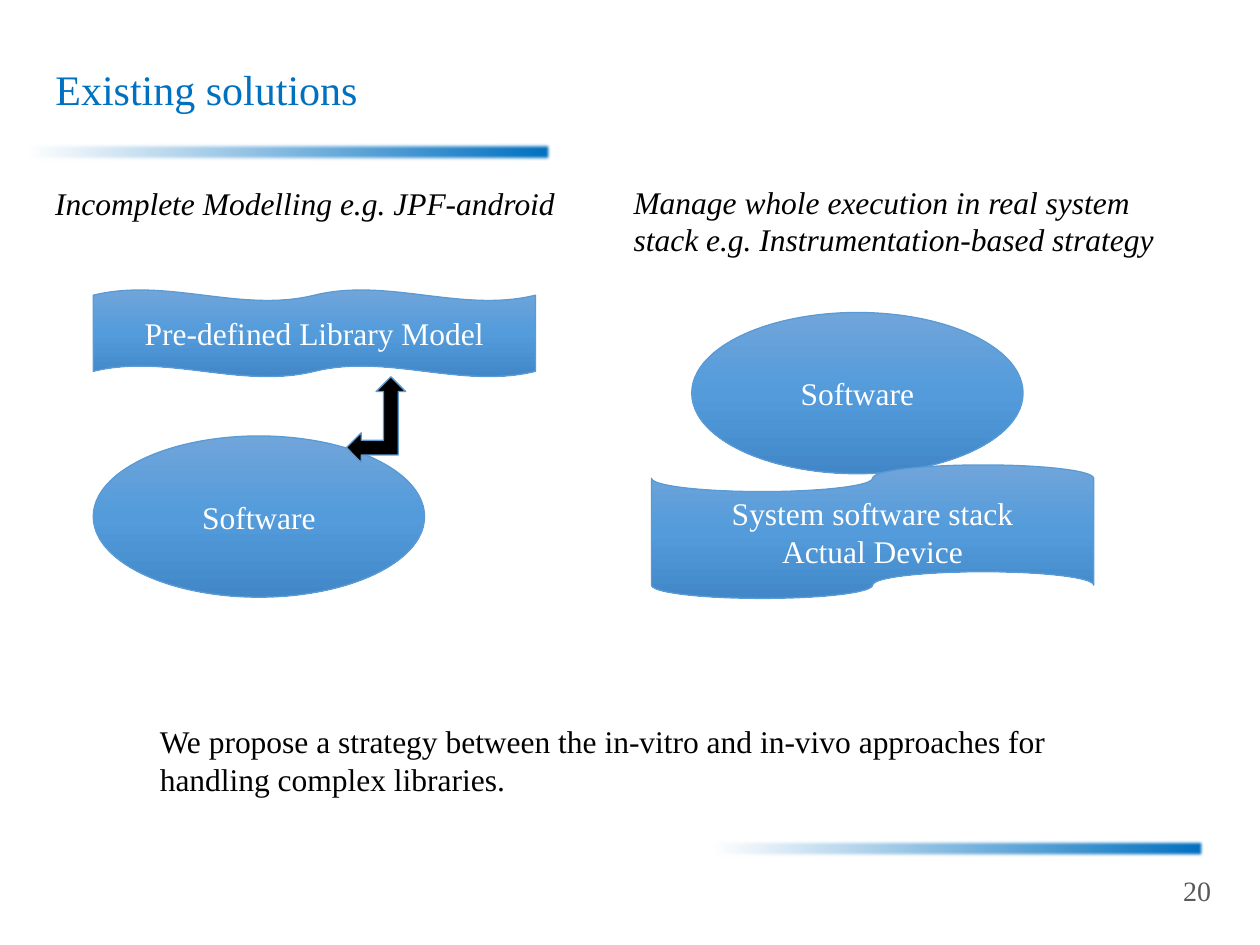
from copy import deepcopy

from lxml.etree import SubElement
from pptx import Presentation
from pptx.dml.color import RGBColor
from pptx.enum.shapes import MSO_SHAPE
from pptx.enum.text import MSO_ANCHOR, PP_ALIGN
from pptx.oxml.ns import qn
from pptx.util import Inches, Pt

TITLE = "Existing solutions"
PAGE_NUMBER = "20"
BLUE, WHITE, BLACK, GRAY, OUTLINE = "0070C0", "FFFFFF", "000000", "595959", "5B9BD5"
BLOCK_GRADIENT = ["70A5DA", "539BDB", "4288C8"]
BAR_GRADIENT = [WHITE, BLUE]
SOFT_EDGE = Inches(0.03)

RULES = [(5.66, 6.66, 3.9, 0.15), (0.23, 1.13, 4.15, 0.15)]
BLOCKS = [
    (MSO_SHAPE.OVAL, (0.74, 3.46, 2.63, 1.28), "Software"),
    (MSO_SHAPE.DOUBLE_WAVE, (0.74, 2.3, 3.51, 0.69), "Pre-defined Library Model"),
    (MSO_SHAPE.OVAL, (5.49, 2.48, 2.63, 1.28), "Software"),
    (MSO_SHAPE.WAVE and MSO_SHAPE.FLOWCHART_PUNCHED_TAPE, (5.17, 3.69, 3.51, 1.06),
     "System software stack\nActual Device"),
]
BLOCKS[3] = (MSO_SHAPE.FLOWCHART_PUNCHED_TAPE,) + BLOCKS[3][1:]
LINK_ARROW = (2.75, 2.99, 0.47, 0.68)
STATEMENTS = [
    ((0.34, 1.41, 4.44, 0.71), "Incomplete Modelling e.g. JPF-android", True),
    ((4.93, 1.4, 4.71, 0.71),
     "Manage whole execution in real system stack e.g. Instrumentation-based strategy", True),
    ((1.17, 5.68, 7.64, 0.91),
     "We propose a strategy between the in-vitro and in-vivo approaches "
     "for handling complex libraries.", False),
]


def rgb(color):
    return RGBColor.from_string(color)


def inches(box):
    return [Inches(length) for length in box]


def write(holder, text, size=18, color=BLACK, italic=False, align=PP_ALIGN.LEFT,
          anchor=MSO_ANCHOR.TOP, inset=0.05):
    frame = holder.text_frame
    frame.word_wrap = True
    frame.vertical_anchor = anchor
    frame.margin_left = frame.margin_right = Inches(0.1)
    frame.margin_top = frame.margin_bottom = Inches(inset)
    frame.text = text
    for paragraph in frame.paragraphs:
        paragraph.alignment = align
        font = paragraph.font
        font.name, font.size, font.italic = "Times New Roman", Pt(size), italic
        font.color.rgb = rgb(color)


def add_preset(slide, preset, box):
    shape = slide.shapes.add_shape(preset, *inches(box))
    shape.shadow.inherit = False
    return shape


def outline(shape):
    shape.line.color.rgb = rgb(OUTLINE)
    shape.line.width = Pt(0.75)


def fill_gradient(shape, colors, angle):
    shape.fill.gradient()
    shape.fill.gradient_angle = angle
    stop_list = shape._element.spPr.find(".//" + qn("a:gsLst"))
    while len(stop_list) < len(colors):
        stop_list.append(deepcopy(stop_list[0]))
    for index, (stop, color) in enumerate(zip(shape.fill.gradient_stops, colors)):
        stop.position = index / (len(colors) - 1)
        stop.color.rgb = rgb(color)


def add_rule(slide, box):
    rule = add_preset(slide, MSO_SHAPE.RECTANGLE, box)
    rule.line.fill.background()
    fill_gradient(rule, BAR_GRADIENT, 0)
    effects = rule._element.spPr.find(qn("a:effectLst"))
    SubElement(effects, qn("a:softEdge"), rad=str(SOFT_EDGE))


def add_block(slide, preset, box, label):
    block = add_preset(slide, preset, box)
    fill_gradient(block, BLOCK_GRADIENT, 270)
    outline(block)
    write(block, label, color=WHITE, align=PP_ALIGN.CENTER, anchor=MSO_ANCHOR.MIDDLE)


def main():
    deck = Presentation()
    deck.slide_width, deck.slide_height = Inches(10), Inches(7.5)
    slide = deck.slides.add_slide(deck.slide_layouts[5])

    for box in RULES:
        add_rule(slide, box)

    title = slide.shapes.title
    title.left, title.top, title.width, title.height = inches((0.34, 0.4, 9.32, 0.83))
    write(title, TITLE, size=24, color=BLUE, inset=0.1)

    page = slide.shapes.add_textbox(*inches((9.11, 6.78, 0.6, 0.57)))
    write(page, PAGE_NUMBER, size=16, color=GRAY, align=PP_ALIGN.RIGHT,
          anchor=MSO_ANCHOR.MIDDLE, inset=0.1)

    for preset, box, label in BLOCKS:
        add_block(slide, preset, box, label)

    link = add_preset(slide, MSO_SHAPE.LEFT_UP_ARROW, LINK_ARROW)
    link.fill.solid()
    link.fill.fore_color.rgb = rgb(BLACK)
    outline(link)

    for box, statement, italic in STATEMENTS:
        write(slide.shapes.add_textbox(*inches(box)), statement, italic=italic)

    deck.save("out.pptx")


if __name__ == "__main__":
    main()
